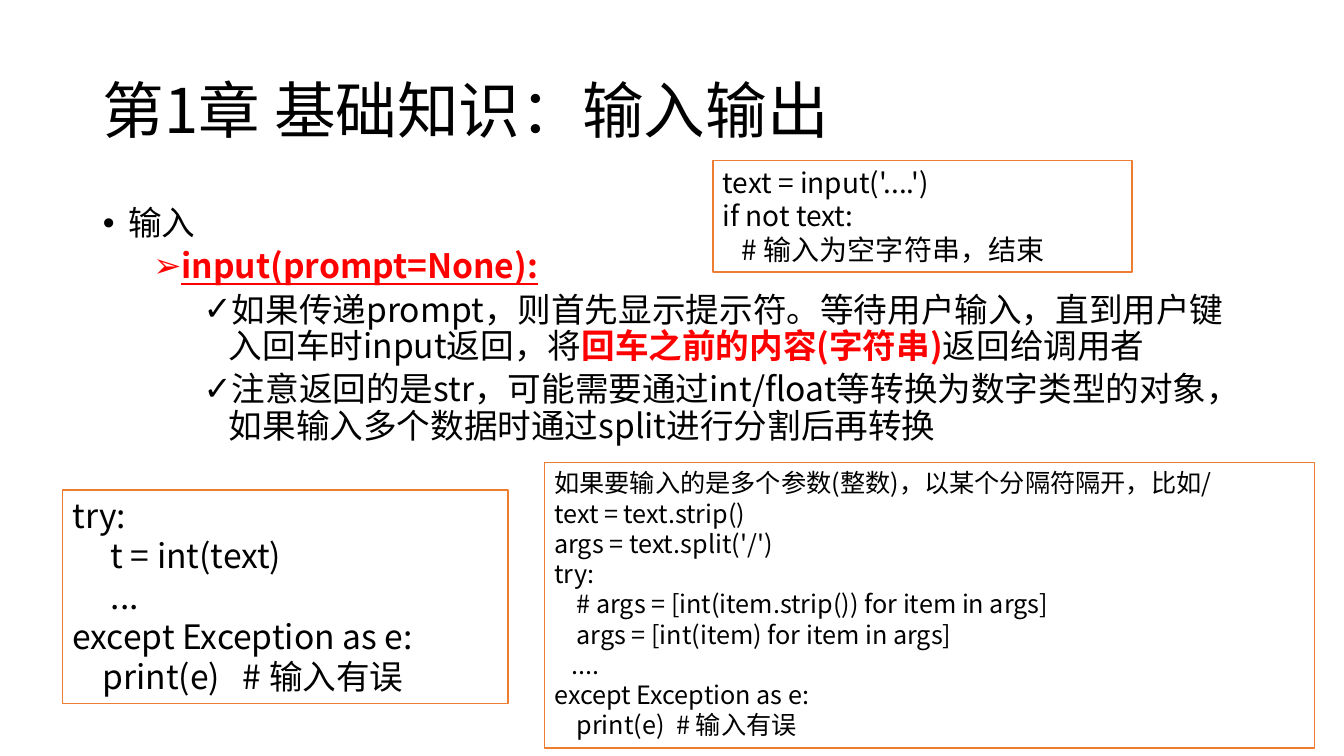
from lxml import etree
from pptx import Presentation
from pptx.dml.color import RGBColor
from pptx.enum.shapes import MSO_SHAPE
from pptx.enum.text import MSO_ANCHOR, MSO_AUTO_SIZE, PP_ALIGN
from pptx.oxml.ns import qn
from pptx.util import Inches, Pt

FONT = "Noto Sans CJK SC"
COLORS = {"text": "000000", "accent": "FF0000", "line": "ED7D31", "fill": "FFFFFF"}


def add_run(p, text, size, color="text", bold=False, underline=False):
    r = p.add_run()
    r.text = text
    r.font.size = Pt(size)
    r.font.bold = bold
    r.font.underline = underline
    r.font.color.rgb = RGBColor.from_string(COLORS[color])
    r.font.name = FONT
    etree.SubElement(r.font._element, qn("a:ea"), typeface=FONT)


def place(sp, left, top, width, height, anchor):
    sp.left, sp.top = Inches(left), Inches(top)
    sp.width, sp.height = Inches(width), Inches(height)
    tf = sp.text_frame
    tf.word_wrap = True
    tf.auto_size = MSO_AUTO_SIZE.NONE
    tf.vertical_anchor = anchor
    return tf


prs = Presentation()
prs.slide_width, prs.slide_height = Inches(13.33), Inches(7.5)
s = prs.slides.add_slide(prs.slide_layouts[1])
title, body = s.placeholders

tf = place(title, 0.92, 0.4, 11.5, 1.45, MSO_ANCHOR.MIDDLE)
p = tf.paragraphs[0]
p.alignment = PP_ALIGN.LEFT
p.line_spacing = 0.9
add_run(p, "第1章 基础知识：输入输出", 44)

bullets = [
    (0, "•", [("输入",)]),
    (1, "➢", [("input(prompt=None):", "accent", True, True)]),
    (2, "✓", [
        ("如果传递prompt，则首先显示提示符。等待用户输入，直到用户键入回车时input返回，将",),
        ("回车之前的内容(字符串)", "accent", True),
        ("返回给调用者",),
    ]),
    (2, "✓", [("注意返回的是str，可能需要通过int/float等转换为数字类型的对象，"
               "如果输入多个数据时通过split进行分割后再转换",)]),
]
tf = place(body, 0.92, 2, 11.5, 2.61, MSO_ANCHOR.TOP)
for i, (level, char, runs) in enumerate(bullets):
    p = tf.add_paragraph() if i else tf.paragraphs[0]
    p.level = level
    p.line_spacing = 0.9
    p.space_before = Pt(5 if level else 10)
    pPr = p._p.get_or_add_pPr()
    pPr.set("marL", str(Inches(0.25 + 0.5 * level)))
    pPr.set("indent", str(-Inches(0.25)))
    etree.SubElement(pPr, qn("a:buFont"), typeface="Arial")
    etree.SubElement(pPr, qn("a:buChar"), char=char)
    for text, *style in runs:
        add_run(p, text, 24, *style)

code_boxes = [
    ((0.62, 4.86, 4.42, 2.12), 24, [
        ("try:", []),
        ("\tt = int(text)", [0.38]),
        ("\t...", [0.38]),
        ("except Exception as e:", []),
        ("\tprint(e)\t# 输入有误", [0.3, 1.69]),
    ]),
    ((5.4, 4.59, 7.64, 2.83), 18, [
        ("如果要输入的是多个参数(整数)，以某个分隔符隔开，比如/", []),
        ("text = text.strip()", []),
        ("args = text.split('/')", []),
        ("try:", []),
        ("\t# args = [int(item.strip()) for item in args]", [0.22]),
        ("\targs = [int(item) for item in args]", [0.22]),
        ("\t....", [0.17]),
        ("except Exception as e:", []),
        ("\tprint(e)\t# 输入有误", [0.22, 1.21]),
    ]),
    ((7.07, 1.59, 4.16, 1.11), 20, [
        ("text = input('....')", []),
        ("if not text:", []),
        ("\t# 输入为空字符串，结束", [0.19]),
    ]),
]
for box, size, lines in code_boxes:
    sp = s.shapes.add_shape(MSO_SHAPE.RECTANGLE, *map(Inches, box))
    sp.shadow.inherit = False
    sp.fill.solid()
    sp.fill.fore_color.rgb = RGBColor.from_string(COLORS["fill"])
    sp.line.color.rgb = RGBColor.from_string(COLORS["line"])
    sp.line.width = Pt(1)
    tf = place(sp, *box, MSO_ANCHOR.TOP)
    for i, (text, stops) in enumerate(lines):
        p = tf.add_paragraph() if i else tf.paragraphs[0]
        p.alignment = PP_ALIGN.LEFT
        if stops:
            tabs = etree.SubElement(p._p.get_or_add_pPr(), qn("a:tabLst"))
            for stop in stops:
                etree.SubElement(tabs, qn("a:tab"), pos=str(Inches(stop)), algn="l")
        add_run(p, text, size)

prs.save("out.pptx")
